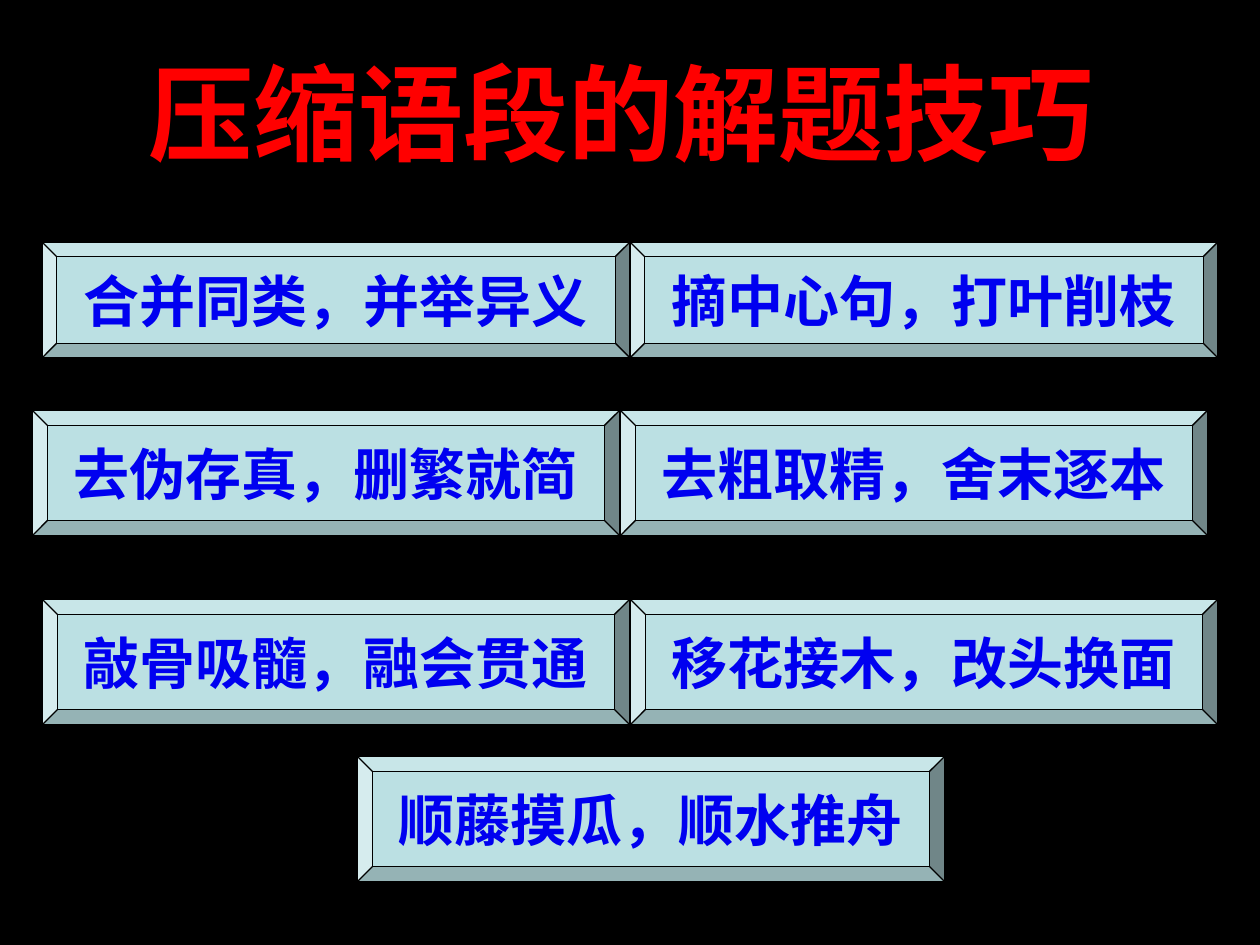
import dataclasses

import pptx
import pptx.dml.color
import pptx.enum.shapes
import pptx.enum.text
import pptx.util

EMU_PER_PX = 914400 / 126


@dataclasses.dataclass(frozen=True)
class Theme:
    background: str = "000000"
    title: str = "FF0000"
    plaque: str = "BBE0E3"
    outline: str = "000000"
    technique: str = "0000F0"
    font: str = "Times New Roman"
    title_size: int = 60
    technique_size: int = 32
    outline_width: float = 0.75


@dataclasses.dataclass(frozen=True)
class TechniqueRow:
    left: int
    top: int
    height: int
    techniques: tuple[str, ...]


THEME = Theme()
PLAQUE_WIDTH = 588
ROWS = (
    TechniqueRow(42, 242, 116, ("合并同类，并举异义", "摘中心句，打叶削枝")),
    TechniqueRow(32, 410, 126, ("去伪存真，删繁就简", "去粗取精，舍末逐本")),
    TechniqueRow(42, 599, 126, ("敲骨吸髓，融会贯通", "移花接木，改头换面")),
    TechniqueRow(357, 756, 126, ("顺藤摸瓜，顺水推舟",)),
)


def px(length: int) -> pptx.util.Emu:
    return pptx.util.Emu(round(length * EMU_PER_PX))


def rgb(value: str) -> pptx.dml.color.RGBColor:
    return pptx.dml.color.RGBColor.from_string(value)


def write(shape, text: str, size: int, color: str, frame_format: dict,
          alignment: pptx.enum.text.PP_ALIGN) -> None:
    """Put one bold line of text in a shape."""
    frame = shape.text_frame
    for name, value in ({"word_wrap": False} | frame_format).items():
        setattr(frame, name, value)
    line = frame.paragraphs[0]
    line.alignment = alignment
    run = line.add_run()
    run.text = text
    font_format = {"name": THEME.font, "size": pptx.util.Pt(size), "bold": True}
    for name, value in font_format.items():
        setattr(run.font, name, value)
    run.font.color.rgb = rgb(color)


def draw_title(slide, text: str) -> None:
    title = slide.shapes.add_textbox(px(136), px(42), px(970), px(139))
    write(title, text, THEME.title_size, THEME.title,
          {"auto_size": pptx.enum.text.MSO_AUTO_SIZE.SHAPE_TO_FIT_TEXT},
          pptx.enum.text.PP_ALIGN.LEFT)


def draw_row(slide, row: TechniqueRow) -> None:
    """Draw bevelled plaques side by side, touching each other."""
    for column, technique in enumerate(row.techniques):
        plaque = slide.shapes.add_shape(
            pptx.enum.shapes.MSO_SHAPE.BEVEL,
            px(row.left + column * PLAQUE_WIDTH), px(row.top),
            px(PLAQUE_WIDTH), px(row.height))
        plaque.shadow.inherit = False
        plaque.fill.solid()
        plaque.fill.fore_color.rgb = rgb(THEME.plaque)
        plaque.line.color.rgb = rgb(THEME.outline)
        plaque.line.width = pptx.util.Pt(THEME.outline_width)
        write(plaque, technique, THEME.technique_size, THEME.technique,
              {"vertical_anchor": pptx.enum.text.MSO_ANCHOR.MIDDLE},
              pptx.enum.text.PP_ALIGN.CENTER)


def main() -> None:
    # Slide and background
    deck = pptx.Presentation()
    deck.slide_width, deck.slide_height = px(1260), px(945)
    slide = deck.slides.add_slide(deck.slide_layouts[6])
    slide.background.fill.solid()
    slide.background.fill.fore_color.rgb = rgb(THEME.background)

    # Title and techniques
    draw_title(slide, "压缩语段的解题技巧")
    for row in ROWS:
        draw_row(slide, row)

    deck.save("out.pptx")


if __name__ == "__main__":
    main()
